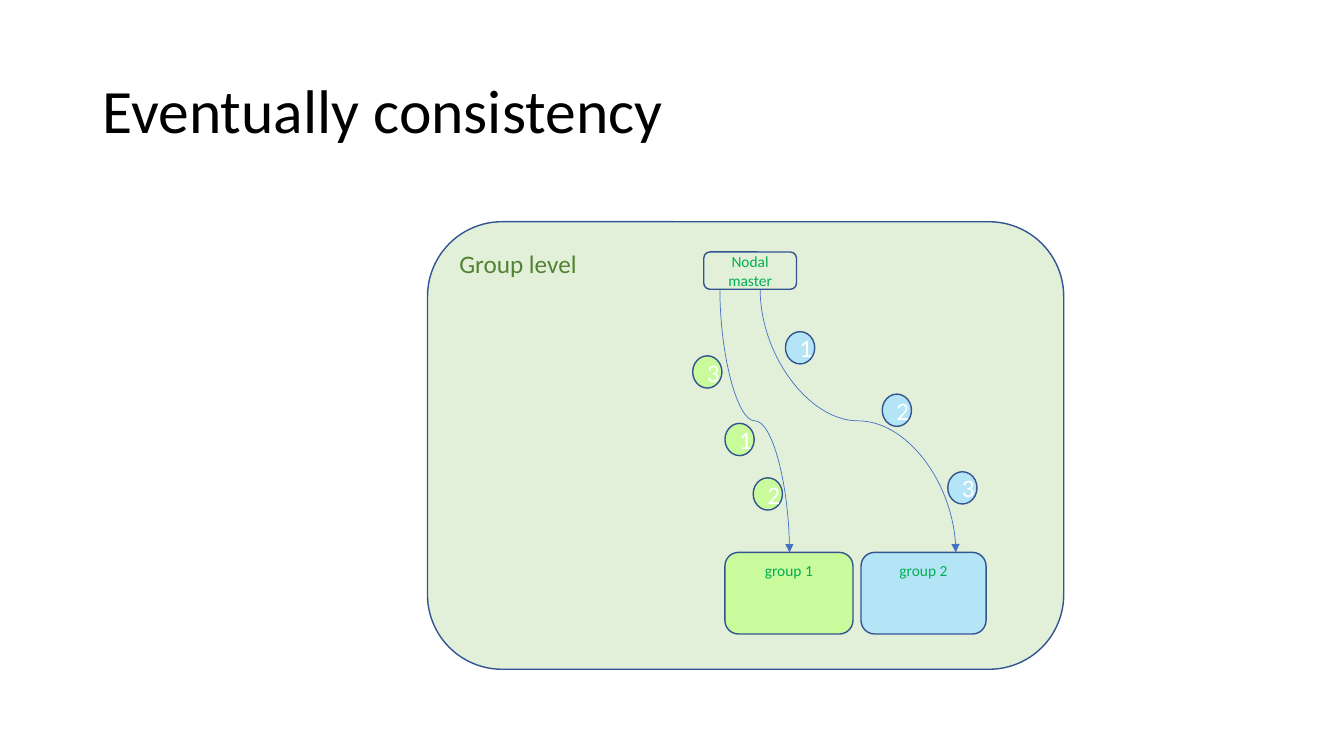
"""Builds the eventual consistency slide showing ordered messages to two groups."""
from dataclasses import dataclass

from lxml import etree
from pptx import Presentation
from pptx.dml.color import RGBColor
from pptx.enum.shapes import MSO_CONNECTOR, MSO_SHAPE
from pptx.enum.text import MSO_ANCHOR, PP_ALIGN
from pptx.oxml.ns import qn
from pptx.slide import Slide
from pptx.text.text import TextFrame
from pptx.util import Inches, Pt

FONT = "Calibri"
BLACK = RGBColor(0x00, 0x00, 0x00)
WHITE = RGBColor(0xFF, 0xFF, 0xFF)
PALE_GREEN = RGBColor(0xE2, 0xF0, 0xD9)
LIME = RGBColor(0xC9, 0xFA, 0x9C)
SKY = RGBColor(0xB4, 0xE5, 0xF6)
OUTLINE = RGBColor(0x32, 0x54, 0x91)
ARROW_BLUE = RGBColor(0x44, 0x72, 0xC4)
DARK_GREEN = RGBColor(0x54, 0x82, 0x35)
LABEL_GREEN = RGBColor(0x00, 0xB0, 0x50)


@dataclass(frozen=True)
class Node:
    """An outlined shape with a label."""

    text: str
    left: float
    top: float
    width: float
    height: float
    fill: RGBColor
    color: RGBColor = LABEL_GREEN
    size: int = 11
    align: PP_ALIGN = PP_ALIGN.CENTER
    anchor: MSO_ANCHOR = MSO_ANCHOR.TOP
    preset: MSO_SHAPE = MSO_SHAPE.ROUNDED_RECTANGLE


@dataclass(frozen=True)
class Flow:
    """A message path from the master down to a group."""

    start_x: float
    end_x: float


def write(frame: TextFrame, text: str, size: int, color: RGBColor,
          align: PP_ALIGN, anchor: MSO_ANCHOR) -> None:
    """Puts one styled paragraph in a text frame."""
    frame.word_wrap = True
    frame.vertical_anchor = anchor
    paragraph = frame.paragraphs[0]
    paragraph.alignment = align
    run = paragraph.add_run()
    run.text = text
    run.font.name = FONT
    run.font.size = Pt(size)
    run.font.color.rgb = color


def draw_title(slide: Slide, text: str) -> None:
    """Draws the slide title."""
    box = slide.shapes.add_textbox(Inches(0.92), Inches(0.4), Inches(11.5), Inches(1.45))
    write(box.text_frame, text, 44, BLACK, PP_ALIGN.LEFT, MSO_ANCHOR.MIDDLE)
    box.text_frame.paragraphs[0].line_spacing = 0.9


def draw_node(slide: Slide, node: Node) -> None:
    """Draws an outlined, labelled shape."""
    shape = slide.shapes.add_shape(node.preset, Inches(node.left), Inches(node.top),
                                   Inches(node.width), Inches(node.height))
    shape.shadow.inherit = False
    shape.fill.solid()
    shape.fill.fore_color.rgb = node.fill
    shape.line.color.rgb = OUTLINE
    shape.line.width = Pt(1)
    write(shape.text_frame, node.text, node.size, node.color, node.align, node.anchor)


def draw_flow(slide: Slide, flow: Flow) -> None:
    """Draws an S-curve that leaves and arrives vertically, by a quarter turn."""
    middle_x = (flow.start_x + flow.end_x) / 2
    middle_y = (FLOW_TOP + GROUP_TOP) / 2
    half_drop = (GROUP_TOP - FLOW_TOP) / 2
    half_shift = (flow.end_x - flow.start_x) / 2
    connector = slide.shapes.add_connector(
        MSO_CONNECTOR.CURVE,
        Inches(middle_x + half_drop), Inches(middle_y - half_shift),
        Inches(middle_x - half_drop), Inches(middle_y + half_shift))
    connector.line.color.rgb = ARROW_BLUE
    connector.line.width = Pt(0.5)
    properties = connector._element.spPr
    properties.find(qn("a:xfrm")).set("rot", str(270 * 60000))
    etree.SubElement(properties.find(qn("a:ln")), qn("a:tailEnd"), type="triangle")
    etree.SubElement(properties, qn("a:effectLst"))


def message(number: int, left: float, top: float, fill: RGBColor) -> Node:
    """Describes a numbered message circle."""
    return Node(str(number), left, top, 0.29, 0.32, fill, WHITE, 18,
                anchor=MSO_ANCHOR.MIDDLE, preset=MSO_SHAPE.OVAL)


FLOW_TOP = 2.87
GROUP_TOP = 5.48
PANEL = Node("Group level", 4.24, 2.2, 6.31, 4.44, PALE_GREEN, DARK_GREEN, 18, PP_ALIGN.LEFT)
GROUPS = (
    Node("group 1", 7.19, GROUP_TOP, 1.27, 0.81, LIME),
    Node("group 2", 8.54, GROUP_TOP, 1.24, 0.81, SKY),
)
MASTER = Node("Nodal master", 6.98, 2.5, 0.92, 0.37, PALE_GREEN, anchor=MSO_ANCHOR.MIDDLE)
FLOWS = (Flow(7.14, 7.83), Flow(7.54, 9.48))
MESSAGE_PLACES = {
    LIME: ((7.19, 4.2), (7.47, 4.74), (6.87, 3.53)),
    SKY: ((7.79, 3.29), (8.75, 3.91), (9.4, 4.68)),
}


def main() -> None:
    """Builds and saves the slide."""
    presentation = Presentation()
    presentation.slide_width = Inches(13.33)
    presentation.slide_height = Inches(7.5)
    slide = presentation.slides.add_slide(presentation.slide_layouts[6])
    draw_title(slide, "Eventually consistency")
    for node in (PANEL, *GROUPS):
        draw_node(slide, node)
    for flow in FLOWS:
        draw_flow(slide, flow)
    draw_node(slide, MASTER)
    for fill, places in MESSAGE_PLACES.items():
        for number, (left, top) in enumerate(places, start=1):
            draw_node(slide, message(number, left, top, fill))
    presentation.save("out.pptx")


main()
